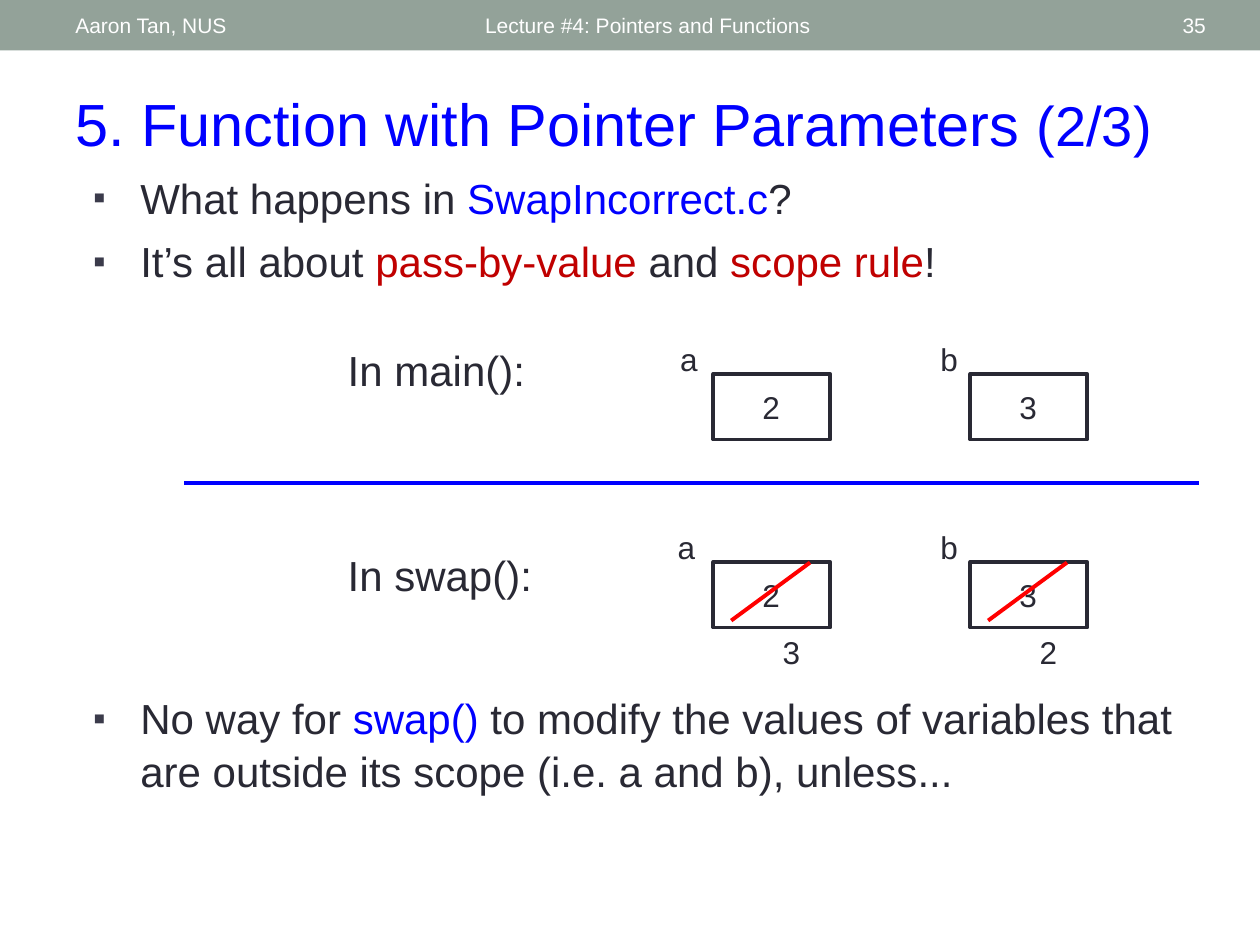
from lxml import etree
from pptx import Presentation
from pptx import util as u
from pptx.dml.color import RGBColor
from pptx.enum import shapes, text
from pptx.oxml.ns import qn

C = {"bar": "93A299", "white": "FFFFFF", "ink": "292934", "blue": "0000FF",
     "red": "C00000", "strike": "FF0000", "bullet": "3B3B4B"}
LEFT, CENTER, RIGHT = text.PP_ALIGN.LEFT, text.PP_ALIGN.CENTER, text.PP_ALIGN.RIGHT
COLUMNS = (14.38, 19.56)   # left edges of the boxes for a and b
BOX_W, BOX_H = 2.36, 1.32
LABEL_W, LABEL_H = 1.55, 1.02


def rgb(name):
    return RGBColor.from_string(C[name])


def add_bullet(p):
    pPr = p._p.get_or_add_pPr()
    pPr.set("marL", str(u.Cm(0.95)))
    pPr.set("indent", str(-u.Cm(0.95)))
    color = etree.SubElement(pPr, qn("a:buClr"))
    etree.SubElement(color, qn("a:srgbClr"), val=C["bullet"])
    etree.SubElement(pPr, qn("a:buSzPct"), val="85000")
    etree.SubElement(pPr, qn("a:buFont"), typeface="Arial")
    etree.SubElement(pPr, qn("a:buChar"), char="▪")


def add_text(s, x, y, w, h, paragraphs, size=18, color="ink", align=LEFT,
             middle=False, bullet=False):
    """Each paragraph is a string or a list of (text, color, size) runs;
    color and size may be left out."""
    tf = s.shapes.add_textbox(u.Cm(x), u.Cm(y), u.Cm(w), u.Cm(h)).text_frame
    tf.word_wrap = True
    if middle:
        tf.vertical_anchor = text.MSO_ANCHOR.MIDDLE
    for i, runs in enumerate(paragraphs):
        p = tf.add_paragraph() if i else tf.paragraphs[0]
        p.alignment = align
        if bullet:
            p.line_spacing = 1.05
            if i:
                p.space_before = u.Pt(6)
            add_bullet(p)
        for run in [(runs,)] if isinstance(runs, str) else runs:
            content, run_color, run_size = (run + (None, None))[:3]
            r = p.add_run()
            r.text = content
            r.font.name = "Arial"
            r.font.size = u.Pt(run_size or size)
            r.font.color.rgb = rgb(run_color or color)


def add_rect(s, x, y, w, h, fill=None, line=None):
    sp = s.shapes.add_shape(shapes.MSO_SHAPE.RECTANGLE,
                            u.Cm(x), u.Cm(y), u.Cm(w), u.Cm(h))
    sp.shadow.inherit = False
    if fill:
        sp.fill.solid()
        sp.fill.fore_color.rgb = rgb(fill)
    else:
        sp.fill.background()
    if line:
        sp.line.color.rgb = rgb(line)
        sp.line.width = u.Pt(2.08)
    else:
        sp.line.fill.background()


def add_line(s, x1, y1, x2, y2, color):
    line = s.shapes.add_connector(shapes.MSO_CONNECTOR.STRAIGHT,
                                  u.Cm(x1), u.Cm(y1), u.Cm(x2), u.Cm(y2))
    line.line.color.rgb = rgb(color)
    line.line.width = u.Pt(2.25)
    etree.SubElement(line._element.spPr, qn("a:effectLst"))


def add_variable(s, x, y, name, value, name_x):
    add_text(s, x + 0.39, y + 0.15, LABEL_W, LABEL_H, [value], align=CENTER)
    add_rect(s, x, y, BOX_W, BOX_H, line="ink")
    add_text(s, name_x, y - 0.82, LABEL_W, LABEL_H, [name], align=CENTER)


def add_new_value(s, x, y, value):
    """Strike out the value in a box and write the new one below it."""
    add_line(s, x + 1.95, y + 0.01, x + 0.36, y + 1.18, "strike")
    add_text(s, x + 0.8, y + 1.3, LABEL_W, LABEL_H, [value], align=CENTER)


def main():
    prs = Presentation()
    prs.slide_width, prs.slide_height = u.Cm(25.4), u.Cm(19.05)
    s = prs.slides.add_slide(prs.slide_layouts[6])

    # Header bar
    add_rect(s, 0, 0, 25.4, 1.02, fill="bar")
    for x, w, label, align in ((9.53, 11.43, "Lecture #4: Pointers and Functions", LEFT),
                               (1.27, 8.05, "Aaron Tan, NUS", LEFT),
                               (22.15, 2.41, "35", RIGHT)):
        add_text(s, x, 0.05, w, 0.91, [label], size=12, color="white",
                 align=align, middle=True)

    # Title and opening points
    add_text(s, 1.27, 1.63, 23.29, 1.7,
             [[("5. Function with Pointer Parameters ",), ("(2/3)", "blue", 32)]],
             size=34, color="blue")
    add_text(s, 1.63, 3.3, 22.86, 2.79, [
        [("What happens in ",), ("SwapIncorrect.c", "blue"), ("?",)],
        [("It’s all about ",), ("pass-by-value ", "red"), ("and",),
         (" scope rule", "red"), ("!",)],
    ], size=24, bullet=True)

    # Variables in each function
    for caption, caption_y, box_y, name_xs in (
            ("In main():", 6.83, 7.54, (13.11, 18.36)),
            ("In swap():", 10.95, 11.33, (13.06, 18.36))):
        add_text(s, 6.76, caption_y, 4.29, 1.27, [caption], size=24)
        for x, name, value, name_x in zip(COLUMNS, "ab", "23", name_xs):
            add_variable(s, x, box_y, name, value, name_x)
    add_line(s, 3.71, 9.73, 24.18, 9.73, "blue")

    # Values after the swap
    for x, value in zip(COLUMNS, "32"):
        add_new_value(s, x, 11.33, value)

    # Closing point
    add_text(s, 1.63, 13.79, 22.86, 2.79, [
        [("No way for ",), ("swap() ", "blue"),
         ("to modify the values of variables that are outside its scope "
          "(i.e. a and b), unless...",)],
    ], size=24, bullet=True)

    prs.save("out.pptx")


if __name__ == "__main__":
    main()
